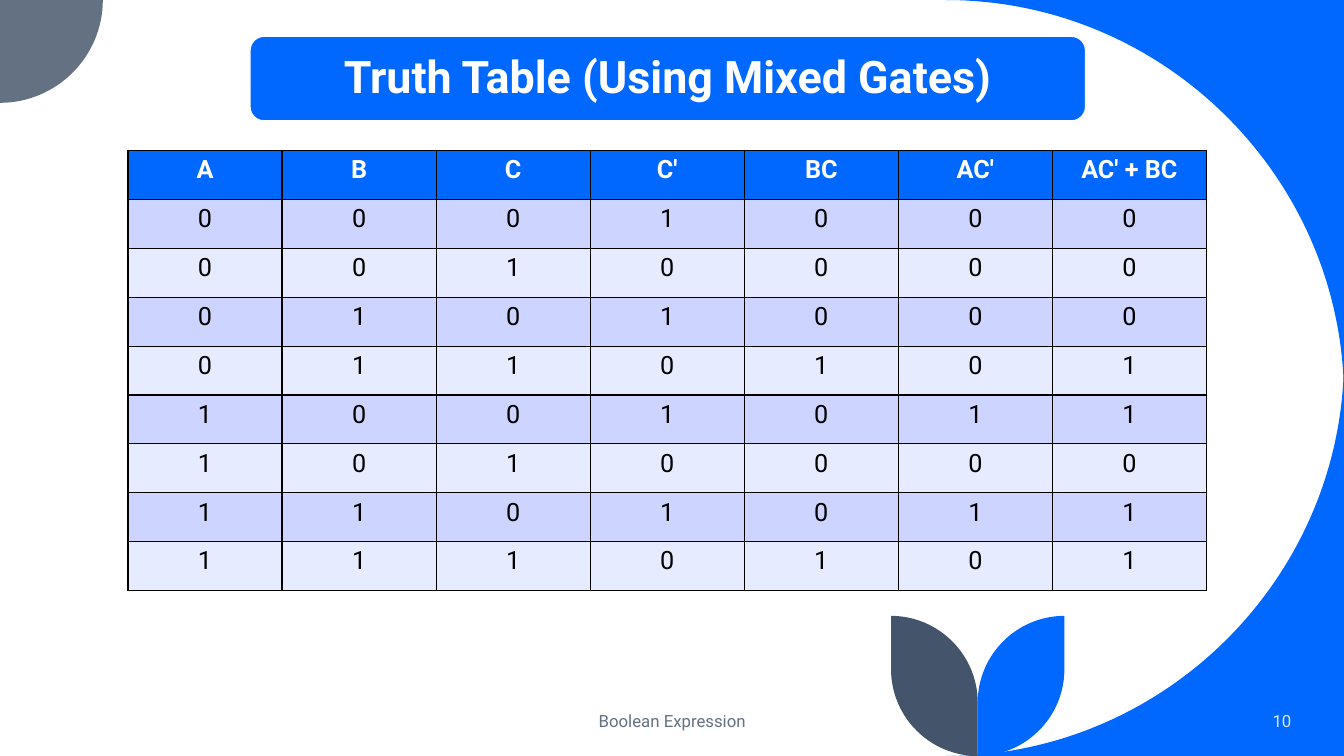
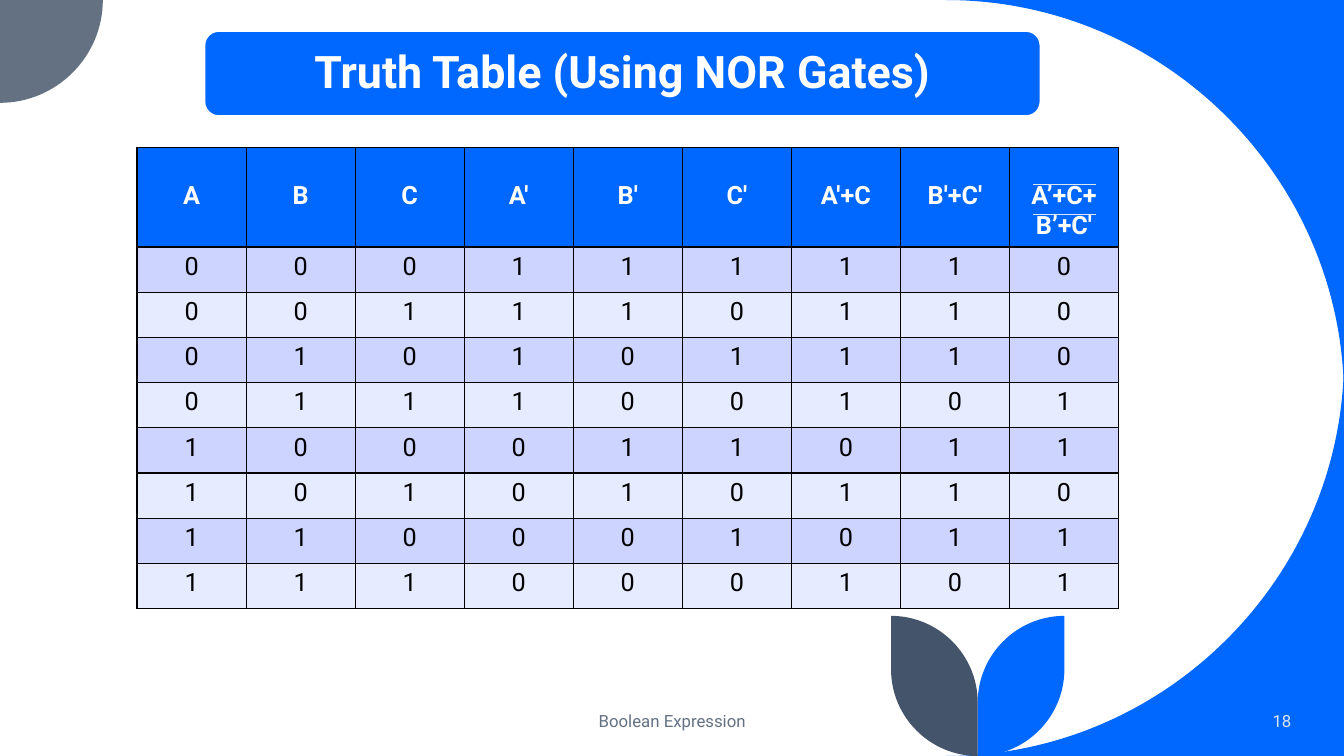
from dataclasses import dataclass
from itertools import product

from lxml import etree
from pptx import Presentation
from pptx.dml.color import RGBColor
from pptx.enum import shapes, text
from pptx.oxml import ns
from pptx.util import Inches, Pt


@dataclass(frozen=True)
class Theme:
    font: str = "Roboto"
    blue: str = "0068FF"
    slate: str = "637183"
    dark: str = "44546A"
    pale: str = "DAE5EF"
    white: str = "FFFFFF"
    black: str = "000000"
    bands: tuple = ("CCD4FF", "E7EBFF")
    title_size: int = 32
    table_size: int = 18
    footer_size: int = 12


T = Theme()
WIDTH, HEIGHT = 40 / 3, 7.5
ROUND = 0.55  # handle length of a quarter circle, as a share of its radius


def rgb(color):
    return RGBColor.from_string(color)


def set_text(tf, content, size, color, bold=False, align=text.PP_ALIGN.CENTER):
    tf.text = content
    for p in tf.paragraphs:
        p.alignment = align
        for r in p.runs:
            r.font.name, r.font.size, r.font.bold = T.font, Pt(size), bold
            r.font.color.rgb = rgb(color)


# Curved decoration
def quarter(start, corner, end):
    """Two handles and the end of a quarter circle that bulges to the corner."""
    handles = [tuple(p + (c - p) * ROUND for p, c in zip(point, corner))
               for point in (start, end)]
    return [*handles, end]


def add_outline(s, start, segments, color):
    """Each segment is one point for a line or three for a curve."""
    points = [(Inches(x), Inches(y)) for segment in segments for x, y in segment]
    builder = s.shapes.build_freeform(Inches(start[0]), Inches(start[1]), scale=1.0)
    builder.add_line_segments(points, close=True)
    sp = builder.convert_to_shape()
    lines = iter(sp._element.findall(".//" + ns.qn("a:lnTo")))
    for segment in segments:
        parts = [next(lines) for _ in segment]
        if len(parts) == 3:
            curve = etree.Element(ns.qn("a:cubicBezTo"))
            parts[0].addprevious(curve)
            for part in parts:
                curve.append(part[0])
                part.getparent().remove(part)
    sp.shadow.inherit = False
    sp.fill.solid()
    sp.fill.fore_color.rgb = rgb(color)
    sp.line.fill.background()


def add_corner(s, corner, start, end, bulge, color):
    """A slide corner closed off by a quarter circle from start to end."""
    add_outline(s, corner, [[start], quarter(start, bulge, end)], color)


def add_leaf(s, side, color):
    """A leaf to the right (side 1) or left (side -1) of the stem."""
    stem, top, radius = 9.7, 6.11, 0.86
    tip = stem + side * radius
    shoulder, foot = (tip, HEIGHT - radius), (stem, HEIGHT)
    fork, point = (stem, top + radius), (tip, top)
    add_outline(s, point, [[shoulder], quarter(shoulder, (tip, HEIGHT), foot),
                           [fork], quarter(fork, (stem, top), point)], color)


def add_decoration(s):
    sweep, small = 3.95, 1.02
    left = WIDTH - sweep
    for edge, inner in ((0, sweep), (HEIGHT, HEIGHT - sweep)):
        corner = (WIDTH, edge)
        add_corner(s, corner, (left, edge), (WIDTH, inner), corner, T.blue)
    add_corner(s, (0, 0), (small, 0), (0, small), (small, small), T.slate)
    add_leaf(s, 1, T.blue)
    add_leaf(s, -1, T.dark)


# Title and footer
def add_title(s, title, x, y):
    sp = s.shapes.add_shape(shapes.MSO_SHAPE.ROUNDED_RECTANGLE,
                            Inches(x), Inches(y), Inches(8.29), Inches(0.84))
    sp.shadow.inherit = False
    sp.fill.solid()
    sp.fill.fore_color.rgb = rgb(T.blue)
    sp.line.color.rgb = rgb(T.white)
    sp.line.width = Pt(1)
    tf = sp.text_frame
    tf.word_wrap = True
    tf.vertical_anchor = text.MSO_ANCHOR.MIDDLE
    set_text(tf, title, T.title_size, T.white, bold=True)
    tf.paragraphs[0].line_spacing = 0.9


def add_footer_text(s, content, x, width, color, align):
    box = s.shapes.add_textbox(Inches(x), Inches(6.95), Inches(width), Inches(0.4))
    tf = box.text_frame
    tf.word_wrap = True
    tf.vertical_anchor = text.MSO_ANCHOR.MIDDLE
    set_text(tf, content, T.footer_size, color, align=align)


def add_slide(prs, title, title_x, title_y):
    s = prs.slides.add_slide(prs.slide_layouts[6])
    add_decoration(s)
    add_title(s, title, title_x, title_y)
    return s


def add_footer(s, number):
    add_footer_text(s, "Boolean Expression", 4.42, 4.5, T.slate, text.PP_ALIGN.CENTER)
    add_footer_text(s, str(number), 11.1, 1.81, T.pale, text.PP_ALIGN.RIGHT)


# Truth table
def set_borders(cell):
    tc_pr = cell._tc.get_or_add_tcPr()
    for i, edge in enumerate(("a:lnL", "a:lnR", "a:lnT", "a:lnB")):
        ln = etree.Element(ns.qn(edge), w=str(Pt(1)))
        fill = etree.SubElement(ln, ns.qn("a:solidFill"))
        etree.SubElement(fill, ns.qn("a:srgbClr"), val=T.black)
        tc_pr.insert(i, ln)


def set_cell(cell, content, fill, color, bold=False):
    cell.fill.solid()
    cell.fill.fore_color.rgb = rgb(fill)
    set_text(cell.text_frame, content, T.table_size, color, bold)
    set_borders(cell)


def add_truth_table(s, columns, x, y, width, header_height, height, header_top=0.05):
    """Columns map each heading to its function of a, b and c."""
    inputs = list(product((0, 1), repeat=3))
    row_height = (height - header_height) / len(inputs)
    table = s.shapes.add_table(len(inputs) + 1, len(columns), Inches(x), Inches(y),
                               Inches(width), Inches(height)).table
    for i, row in enumerate(table.rows):
        row.height = Inches(row_height if i else header_height)
    for j, (heading, value) in enumerate(columns.items()):
        table.columns[j].width = Inches(width / len(columns))
        header = table.cell(0, j)
        header.margin_top = Inches(header_top)
        set_cell(header, heading, T.blue, T.white, bold=True)
        for i, abc in enumerate(inputs):
            set_cell(table.cell(i + 1, j), str(int(value(*abc))), T.bands[i % 2], T.black)


def add_overbar(s, x, y, width):
    line = s.shapes.add_connector(shapes.MSO_CONNECTOR.STRAIGHT, Inches(x), Inches(y),
                                  Inches(x + width), Inches(y))
    line.line.color.rgb = rgb(T.pale)
    line.line.width = Pt(0.5)
    etree.SubElement(line._element.spPr, ns.qn("a:effectLst"))


# Column definitions
INPUTS = {
    "A": lambda a, b, c: a,
    "B": lambda a, b, c: b,
    "C": lambda a, b, c: c,
}
MIXED = INPUTS | {
    "C'": lambda a, b, c: not c,
    "BC": lambda a, b, c: b and c,
    "AC'": lambda a, b, c: a and not c,
    "AC' + BC": lambda a, b, c: (a and not c) or (b and c),
}
NOR = INPUTS | {
    "A'": lambda a, b, c: not a,
    "B'": lambda a, b, c: not b,
    "C'": lambda a, b, c: not c,
    "A'+C": lambda a, b, c: not a or c,
    "B'+C'": lambda a, b, c: not b or not c,
    "A’+C+\nB’+C'": lambda a, b, c: (a and not c) or (b and c),
}


def main():
    prs = Presentation()
    prs.slide_width, prs.slide_height = Inches(WIDTH), Inches(HEIGHT)

    s = add_slide(prs, "Truth Table (Using Mixed Gates)", 2.48, 0.36)
    add_truth_table(s, MIXED, 1.27, 1.49, 10.7, 0.49, 4.37)
    add_footer(s, 10)

    s = add_slide(prs, "Truth Table (Using NOR Gates)", 2.03, 0.31)
    add_truth_table(s, NOR, 1.36, 1.46, 9.74, 0.97, 4.56, header_top=0.34)
    add_footer(s, 18)
    for y in (1.83, 2.13):
        add_overbar(s, 10.25, y, 0.62)

    prs.save("out.pptx")


main()
